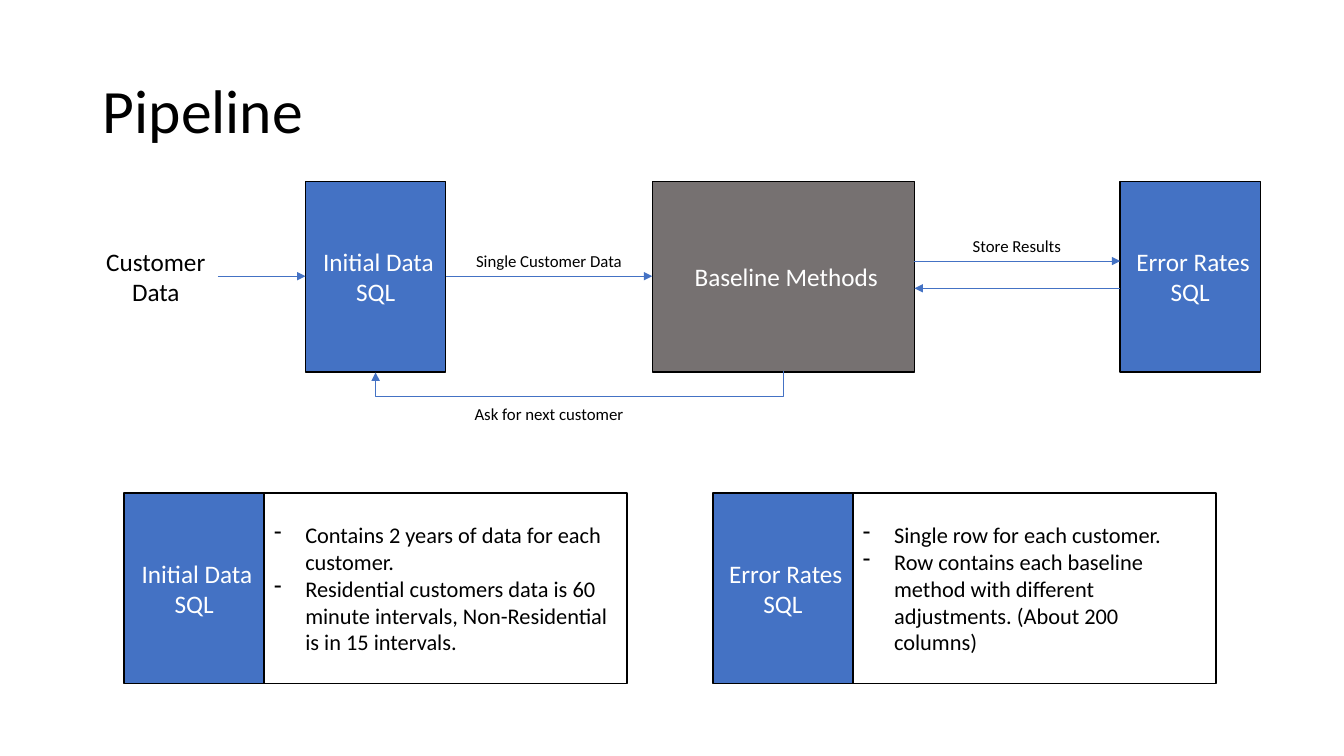
from dataclasses import dataclass

from lxml import etree
from pptx import Presentation
from pptx.dml.color import RGBColor
from pptx.enum.shapes import MSO_CONNECTOR, MSO_SHAPE
from pptx.enum.text import MSO_ANCHOR, MSO_AUTO_SIZE, PP_ALIGN
from pptx.oxml.ns import qn
from pptx.util import Inches, Pt

RECTANGLE = MSO_SHAPE.RECTANGLE
STRAIGHT, ELBOW = MSO_CONNECTOR.STRAIGHT, MSO_CONNECTOR.ELBOW
MIDDLE = MSO_ANCHOR.MIDDLE
LEFT, CENTER = PP_ALIGN.LEFT, PP_ALIGN.CENTER
FIT_SHAPE = MSO_AUTO_SIZE.SHAPE_TO_FIT_TEXT
TITLE_ONLY = 5


@dataclass(frozen=True)
class Theme:
    font: str = "Calibri"
    blue: RGBColor = RGBColor(0x44, 0x72, 0xC4)
    gray: RGBColor = RGBColor(0x76, 0x71, 0x71)
    black: RGBColor = RGBColor(0, 0, 0)
    white: RGBColor = RGBColor(0xFF, 0xFF, 0xFF)
    title_size: int = 44
    box_size: int = 18
    list_size: int = 16
    label_size: int = 12
    outline: float = 1
    arrow: float = 0.5


THEME = Theme()

# Shared geometry, in inches
BOX_HEIGHT = 1.89
STORE_WIDTH = 1.39
DETAIL_WIDTH = 3.6
FLOW_TOP = 1.8
FLOW_MIDDLE = 2.74
FLOW_BOTTOM = FLOW_TOP + BOX_HEIGHT
DETAIL_TOP = 4.89
INITIAL_LEFT, METHODS_LEFT, ERRORS_LEFT = 3.03, 6.47, 11.11
METHODS_WIDTH = 2.6
INITIAL_RIGHT = INITIAL_LEFT + STORE_WIDTH
METHODS_RIGHT = METHODS_LEFT + METHODS_WIDTH
LOOP_DROP = 0.25

INITIAL_NAME = " Initial Data SQL"
ERRORS_NAME = " Error Rates SQL"
DETAILS = [
    (1.23, INITIAL_NAME, [
        "Contains 2 years of data for each customer.",
        "Residential customers data is 60 minute intervals, "
        "Non-Residential is in 15 intervals.",
    ]),
    (7.07, ERRORS_NAME, [
        "Single row for each customer.",
        "Row contains each baseline method with different adjustments. "
        "(About 200 columns)",
    ]),
]


def format_paragraph(paragraph, size, color, alignment):
    paragraph.alignment = alignment
    paragraph.font.name = THEME.font
    paragraph.font.size = Pt(size)
    paragraph.font.color.rgb = color


def set_title(page, text):
    title = page.shapes.title
    title.left, title.top = Inches(0.92), Inches(0.4)
    title.width, title.height = Inches(11.5), Inches(1.45)
    title.text_frame.text = text
    title.text_frame.vertical_anchor = MIDDLE
    paragraph = title.text_frame.paragraphs[0]
    paragraph.line_spacing = 0.9
    format_paragraph(paragraph, THEME.title_size, THEME.black, LEFT)


def add_box(page, left, top, width, fill, text=""):
    box = page.shapes.add_shape(
        RECTANGLE, Inches(left), Inches(top), Inches(width), Inches(BOX_HEIGHT))
    box.shadow.inherit = False
    box.fill.solid()
    box.fill.fore_color.rgb = fill
    box.line.color.rgb = THEME.black
    box.line.width = Pt(THEME.outline)
    frame = box.text_frame
    frame.word_wrap = True
    frame.vertical_anchor = MIDDLE
    frame.text = text
    format_paragraph(frame.paragraphs[0], THEME.box_size, THEME.white, CENTER)
    return box


def add_label(page, text, left, top, width, height, size):
    label = page.shapes.add_textbox(
        Inches(left), Inches(top), Inches(width), Inches(height))
    frame = label.text_frame
    frame.word_wrap = True
    frame.auto_size = FIT_SHAPE
    frame.text = text
    format_paragraph(frame.paragraphs[0], size, THEME.black, CENTER)


def add_arrow(page, start, end, kind=STRAIGHT):
    arrow = page.shapes.add_connector(
        kind, *[Inches(value) for value in (*start, *end)])
    arrow.line.color.rgb = THEME.blue
    arrow.line.width = Pt(THEME.arrow)
    properties = arrow._element.spPr
    line = properties.find(qn("a:ln"))
    etree.SubElement(line, qn("a:tailEnd"), type="triangle")
    etree.SubElement(properties, qn("a:effectLst"))
    return arrow


def add_loop_arrow(page, start_x, end_x, y):
    """Elbow arrow turned a quarter, so that it leaves and returns from below."""
    span, depth = start_x - end_x, 0.01
    left = (start_x + end_x - depth) / 2
    top = y - span / 2
    arrow = add_arrow(page, (left, top), (left + depth, top + span), ELBOW)
    properties = arrow._element.spPr
    properties.find(qn("a:xfrm")).set("rot", str(90 * 60000))
    guides = properties.find(qn("a:prstGeom")).get_or_add_avLst()
    bend = round(LOOP_DROP / depth * 100000)
    etree.SubElement(guides, qn("a:gd"), name="adj1", fmla=f"val {bend}")


def add_dash_list(box, items):
    frame = box.text_frame
    for index, item in enumerate(items):
        paragraph = frame.add_paragraph() if index else frame.paragraphs[0]
        paragraph.text = item
        format_paragraph(paragraph, THEME.list_size, THEME.black, LEFT)
        properties = paragraph._p.get_or_add_pPr()
        indent = Inches(0.31)
        properties.set("marL", str(indent))
        properties.set("indent", str(-indent))
        bullet = etree.Element(qn("a:buChar"), char="-")
        properties.insert(0, bullet)


def add_flow(page):
    # Stages
    add_label(page, "Customer Data", 0.92, 2.39, 1.25, 0.71, THEME.box_size)
    add_box(page, INITIAL_LEFT, FLOW_TOP, STORE_WIDTH, THEME.blue, INITIAL_NAME)
    add_box(page, METHODS_LEFT, FLOW_TOP, METHODS_WIDTH, THEME.gray,
            " Baseline Methods")
    add_box(page, ERRORS_LEFT, FLOW_TOP, STORE_WIDTH, THEME.blue, ERRORS_NAME)

    # Arrows between the stages
    for start_x, end_x, y in [
        (2.16, INITIAL_LEFT, FLOW_MIDDLE),
        (INITIAL_RIGHT, METHODS_LEFT, FLOW_MIDDLE),
        (METHODS_RIGHT, ERRORS_LEFT, 2.59),
        (ERRORS_LEFT, METHODS_RIGHT, 2.86),
    ]:
        add_arrow(page, (start_x, y), (end_x, y))
    add_loop_arrow(page, METHODS_LEFT + METHODS_WIDTH / 2,
                   INITIAL_LEFT + STORE_WIDTH / 2, FLOW_BOTTOM)

    # Arrow labels
    for text, left, top in [
        ("Single Customer Data", 4.6, 2.44),
        ("Store Results", 9.24, 2.29),
        ("Ask for next customer", 4.6, 3.96),
    ]:
        add_label(page, text, left, top, 1.69, 0.3, THEME.label_size)


def add_details(page):
    for left, name, items in DETAILS:
        add_box(page, left, DETAIL_TOP, STORE_WIDTH, THEME.blue, name)
        detail = add_box(page, left + STORE_WIDTH, DETAIL_TOP, DETAIL_WIDTH,
                         THEME.white)
        add_dash_list(detail, items)


def main():
    deck = Presentation()
    deck.slide_width, deck.slide_height = Inches(13.33), Inches(7.5)
    page = deck.slides.add_slide(deck.slide_layouts[TITLE_ONLY])
    set_title(page, "Pipeline")
    add_flow(page)
    add_details(page)
    deck.save("out.pptx")


if __name__ == "__main__":
    main()
